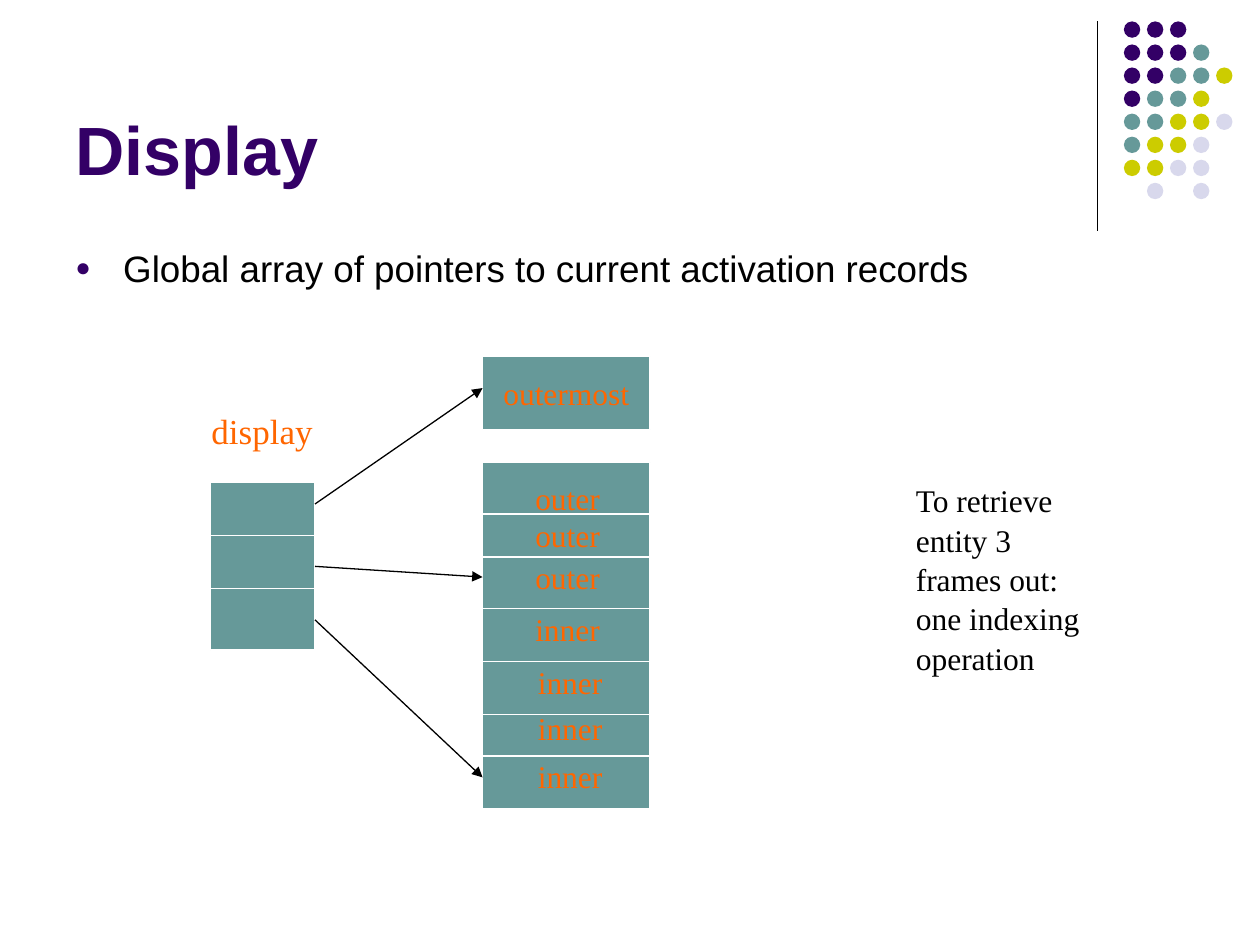
import pptx
import pptx.util
import pptx.dml.color
import pptx.enum.shapes
import pptx.enum.text
import pptx.oxml
import pptx.oxml.ns
import lxml.etree
from dataclasses import dataclass

Inches, Pt = pptx.util.Inches, pptx.util.Pt
ANCHOR, ALIGN = pptx.enum.text.MSO_ANCHOR, pptx.enum.text.PP_ALIGN
SHAPE = pptx.enum.shapes.MSO_SHAPE


@dataclass(frozen=True)
class Theme:
    purple: str = "330066"
    teal: str = "669999"
    olive: str = "CCCC00"
    lavender: str = "D8D8EC"
    orange: str = "FF6600"
    black: str = "000000"
    white: str = "FFFFFF"
    sans: str = "Arial"
    serif: str = "Times New Roman"
    title: float = 39
    body: float = 21
    caption: float = 20
    label: float = 18
    line: float = 0.75


THEME = Theme()

TITLE = "Display"
BULLET = "Global array of pointers to current activation records"
NOTE = "To retrieve entity 3 frames out: one indexing operation"
OUTERMOST = "outermost"

# One letter per dot: purple, teal, olive, lavender
DOT_ROWS = ["PPP", "PPPT", "PPTTO", "PTTO", "TTOOL", "TOOL", "OOLL", " L L"]
DOT_COLORS = {"P": THEME.purple, "T": THEME.teal, "O": THEME.olive, "L": THEME.lavender}
DOT_LEFT, DOT_TOP, DOT_PITCH, DOT_SIZE = 8.92, 0.17, 0.183, 0.13

# Boxes: left, top, width, height
DISPLAY_BOX = (1.67, 3.83, 0.83, 1.33)
STACK_BOX = (3.83, 3.67, 1.33, 2.75)
OUTERMOST_BOX = (3.83, 2.83, 1.33, 0.58)
DISPLAY_RULES = [4.25, 4.67]
STACK_RULES = [4.08, 4.42, 4.83, 5.25, 5.67, 6]

# Text, left, top
FRAMES = [
    ("outer", 4.15, 3.75),
    ("outer", 4.15, 4.05),
    ("outer", 4.15, 4.38),
    ("inner", 4.15, 4.79),
    ("inner", 4.17, 5.21),
    ("inner", 4.17, 5.58),
    ("inner", 4.17, 5.96),
]
# Height at the display, height at the stack
POINTERS = [(4, 3.08), (4.5, 4.58), (4.92, 6.17)]


def rgb(color):
    return pptx.dml.color.RGBColor.from_string(color)


def add_block(slide, kind, box, fill, line=None):
    sp = slide.shapes.add_shape(kind, *map(Inches, box))
    sp.shadow.inherit = False
    sp.fill.solid()
    sp.fill.fore_color.rgb = rgb(fill)
    if line:
        sp.line.color.rgb = rgb(line)
        sp.line.width = Pt(THEME.line)
    else:
        sp.line.fill.background()
    return sp


def add_line(slide, x1, y1, x2, y2, color, arrow=False):
    cxn = slide.shapes.add_connector(
        pptx.enum.shapes.MSO_CONNECTOR.STRAIGHT, *map(Inches, (x1, y1, x2, y2)))
    cxn.line.color.rgb = rgb(color)
    cxn.line.width = Pt(THEME.line)
    if arrow:
        ln = cxn.line._get_or_add_ln()
        lxml.etree.SubElement(ln, pptx.oxml.ns.qn("a:tailEnd"), type="triangle")
    lxml.etree.SubElement(cxn._element.spPr, pptx.oxml.ns.qn("a:effectLst"))
    return cxn


def write(tf, text, size, color, font=THEME.serif, bold=False):
    p = tf.paragraphs[0]
    r = p.add_run()
    r.text = text
    r.font.size = Pt(size)
    r.font.name = font
    r.font.bold = bold
    r.font.color.rgb = rgb(color)
    return p


def add_text(slide, box, text, size, color, **style):
    tf = slide.shapes.add_textbox(*map(Inches, box)).text_frame
    tf.word_wrap = True
    return tf, write(tf, text, size, color, **style)


def add_bullet(p, indent):
    pPr = p._p.get_or_add_pPr()
    pPr.set("marL", str(Inches(indent)))
    pPr.set("indent", str(-Inches(indent)))
    color = lxml.etree.SubElement(pPr, pptx.oxml.ns.qn("a:buClr"))
    lxml.etree.SubElement(color, pptx.oxml.ns.qn("a:srgbClr"), val=THEME.purple)
    lxml.etree.SubElement(pPr, pptx.oxml.ns.qn("a:buSzPct"), val="70000")
    lxml.etree.SubElement(pPr, pptx.oxml.ns.qn("a:buFont"), typeface=THEME.sans)
    lxml.etree.SubElement(pPr, pptx.oxml.ns.qn("a:buChar"), char="●")


def add_ruled_box(slide, box, rules):
    """Draw a rectangle divided by horizontal rules at the given heights."""
    sp = add_block(slide, SHAPE.RECTANGLE, box, THEME.teal, THEME.white)
    left, _, width, _ = box
    for y in rules:
        add_line(slide, left, y, left + width, y, THEME.white)
    return sp


def add_dots(slide):
    add_line(slide, 8.71, 0.17, 8.71, 1.83, THEME.black)
    for row, letters in enumerate(DOT_ROWS):
        for col, letter in enumerate(letters):
            if letter in DOT_COLORS:
                box = (DOT_LEFT + col * DOT_PITCH, DOT_TOP + row * DOT_PITCH,
                       DOT_SIZE, DOT_SIZE)
                add_block(slide, SHAPE.OVAL, box, DOT_COLORS[letter])


def add_diagram(slide):
    add_ruled_box(slide, STACK_BOX, STACK_RULES)
    for text, left, top in FRAMES:
        add_text(slide, (left, top, 0.83, 0.4), text, THEME.label, THEME.orange)

    display = add_ruled_box(slide, DISPLAY_BOX, DISPLAY_RULES)
    add_text(slide, (1.58, 3.2, 1.08, 0.44), "display", THEME.caption, THEME.orange)

    tf = add_block(slide, SHAPE.RECTANGLE, OUTERMOST_BOX,
                   THEME.teal, THEME.white).text_frame
    tf.word_wrap = False
    tf.vertical_anchor = ANCHOR.MIDDLE
    write(tf, OUTERMOST, THEME.label, THEME.orange).alignment = ALIGN.CENTER

    left, top, width, height = DISPLAY_BOX
    for start, end in POINTERS:
        cxn = add_line(slide, left + width, start, STACK_BOX[0], end,
                       THEME.black, arrow=True)
        if abs(start - (top + height / 2)) < 0.01:
            cxn.begin_connect(display, 3)


def main():
    prs = pptx.Presentation()
    prs.slide_width, prs.slide_height = Inches(10), Inches(7.5)
    slide = prs.slides.add_slide(prs.slide_layouts[6])

    add_dots(slide)
    tf, _ = add_text(slide, (0.5, 0.13, 8.25, 1.42), TITLE, THEME.title,
                     THEME.purple, font=THEME.sans, bold=True)
    tf.vertical_anchor = ANCHOR.BOTTOM
    _, p = add_text(slide, (0.5, 1.9, 9, 4.8), BULLET, THEME.body,
                    THEME.black, font=THEME.sans)
    add_bullet(p, 0.38)
    add_diagram(slide)
    _, p = add_text(slide, (7.17, 3.76, 1.58, 1.6), NOTE, THEME.label, THEME.black)
    p.line_spacing = 1.04
    prs.save("out.pptx")


if __name__ == "__main__":
    main()
